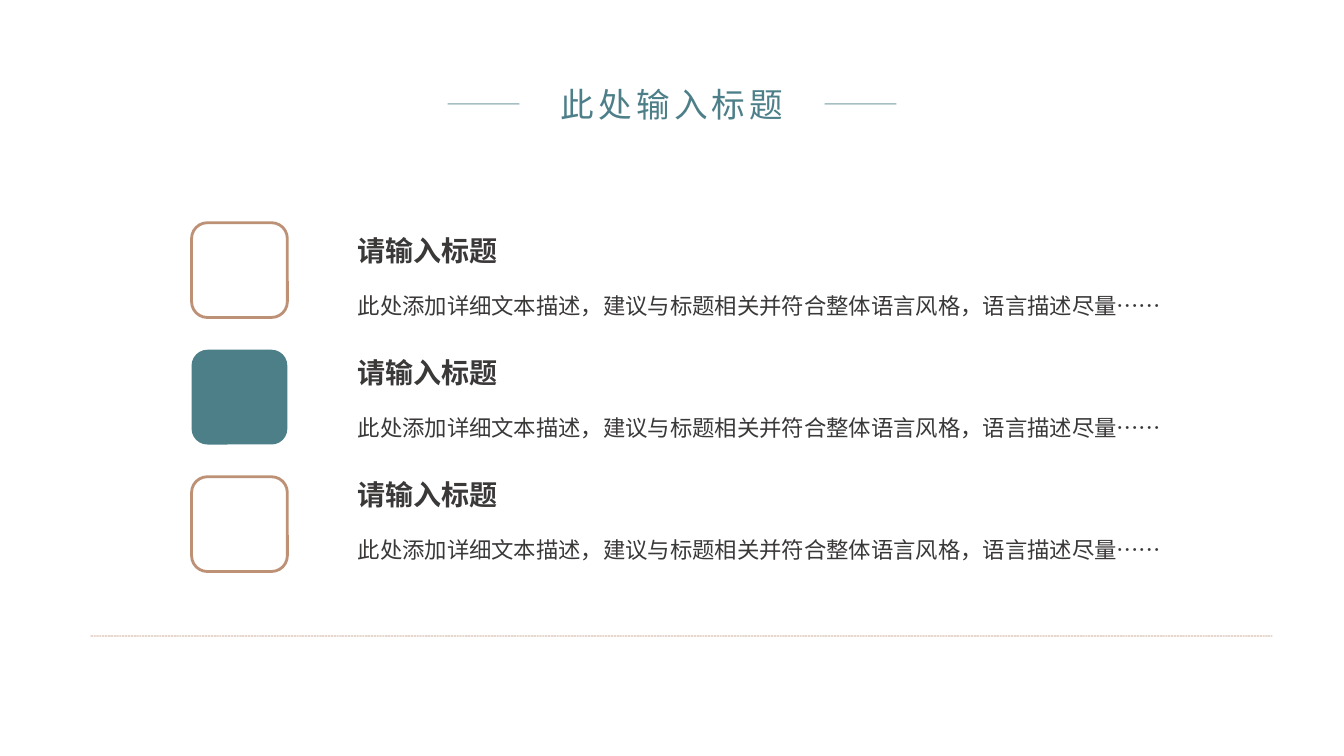
from lxml.etree import SubElement
from pptx import Presentation
from pptx.dml.color import RGBColor
from pptx.enum.dml import MSO_LINE
from pptx.enum.shapes import MSO_CONNECTOR, MSO_SHAPE
from pptx.enum.text import MSO_ANCHOR, MSO_AUTO_SIZE, PP_ALIGN
from pptx.oxml.ns import qn
from pptx.util import Inches, Pt

FONT = "Noto Sans CJK SC"
TEAL, COPPER, INK = "4D7F89", "A2633C", "3B3838"
HEADING = "请输入标题"
DESCRIPTION = "此处添加详细文本描述，建议与标题相关并符合整体语言风格，语言描述尽量……"


def set_color(fill, hex_color):
    fill.solid()
    fill.fore_color.rgb = RGBColor.from_string(hex_color)


def style_line(line, color, weight, opacity, dash=None):
    set_color(line.fill, color)
    line.width = Pt(weight)
    if dash:
        line.dash_style = dash
    color_xml = line.fill._xPr.find(qn("a:solidFill"))[0]
    SubElement(color_xml, qn("a:alpha"), val=str(opacity * 1000))


def write_text(shape, text, size, color=INK, bold=False, align=PP_ALIGN.LEFT,
               line_spacing=None, letter_spacing=0):
    frame = shape.text_frame
    frame.word_wrap = True
    frame.auto_size = MSO_AUTO_SIZE.SHAPE_TO_FIT_TEXT
    frame.vertical_anchor = MSO_ANCHOR.TOP
    paragraph = frame.paragraphs[0]
    paragraph.alignment = align
    paragraph.line_spacing = line_spacing
    run = paragraph.add_run()
    run.text = text
    run.font.size, run.font.bold, run.font.name = Pt(size), bold, FONT
    set_color(run.font.fill, color)
    properties = run.font._element
    SubElement(properties, qn("a:ea"), typeface=FONT)
    if letter_spacing:
        properties.set("spc", str(letter_spacing * 100))


def add_rule(slide, left, top, length, **line_format):
    rule = slide.shapes.add_connector(
        MSO_CONNECTOR.STRAIGHT, Inches(left), Inches(top),
        Inches(left + length), Inches(top))
    SubElement(rule._element.spPr, qn("a:effectLst"))
    # The line element must come before the effect list
    style_line(rule.line, **line_format)


def add_title(slide, left, top, width, height):
    # Title between two short rules
    title = slide.shapes.title
    text_width, rule_length = 2.95, 0.71
    title.left, title.top = Inches(left + (width - text_width) / 2), Inches(top)
    title.width, title.height = Inches(text_width), Inches(height)
    write_text(title, "此处输入标题", size=24, color=TEAL,
               align=PP_ALIGN.CENTER, line_spacing=1.0, letter_spacing=3)
    for rule_left in (left, left + width - rule_length):
        add_rule(slide, rule_left, top + height / 2, rule_length,
                 color=TEAL, weight=1, opacity=50)


def add_markers(slide, left, top, width, height, filled):
    # Column of rounded squares, one of them filled
    marker_height = 0.94
    pitch = (height - marker_height) / (len(filled) - 1)
    for row, is_filled in enumerate(filled):
        marker = slide.shapes.add_shape(
            MSO_SHAPE.ROUNDED_RECTANGLE, Inches(left), Inches(top + row * pitch),
            Inches(width), Inches(marker_height))
        marker.shadow.inherit = False
        if is_filled:
            set_color(marker.fill, TEAL)
            marker.line.fill.background()
        else:
            marker.fill.background()
            style_line(marker.line, COPPER, weight=2, opacity=70)


def add_entries(slide, left, top, width, height, entries):
    # Heading and description pairs
    pitch = height / len(entries)
    for row, (heading, description) in enumerate(entries):
        entry_top = top + row * pitch
        heading_box = slide.shapes.add_textbox(
            Inches(left), Inches(entry_top), Inches(2.14), Inches(0.44))
        write_text(heading_box, heading, size=20, bold=True)
        description_box = slide.shapes.add_textbox(
            Inches(left), Inches(entry_top + 0.5), Inches(width), Inches(0.43))
        write_text(description_box, description, size=16, line_spacing=1.3)


presentation = Presentation()
presentation.slide_width, presentation.slide_height = Inches(13.33), Inches(7.5)
slide = presentation.slides.add_slide(presentation.slide_layouts[5])

add_title(slide, 4.44, 0.78, 4.45, 0.5)
add_markers(slide, 1.9, 2.21, 0.95, 3.46, filled=[False, True, False])
add_entries(slide, 3.45, 2.27, 8.5, 3.63, [(HEADING, DESCRIPTION)] * 3)
# Closing rule
add_rule(slide, 0.9, 6.31, 11.72, color=COPPER, weight=0.5, opacity=70,
         dash=MSO_LINE.SQUARE_DOT)

presentation.save("out.pptx")
